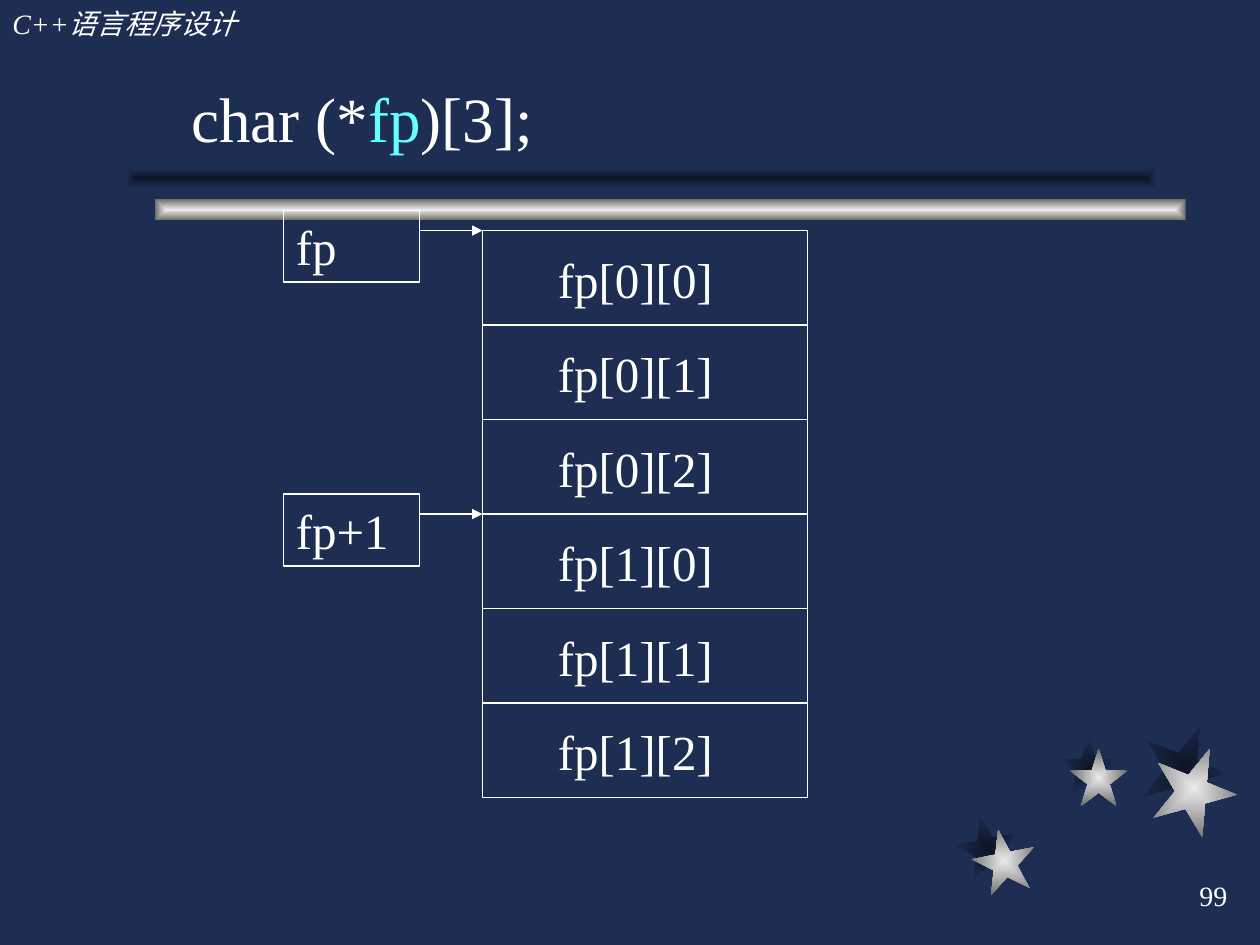
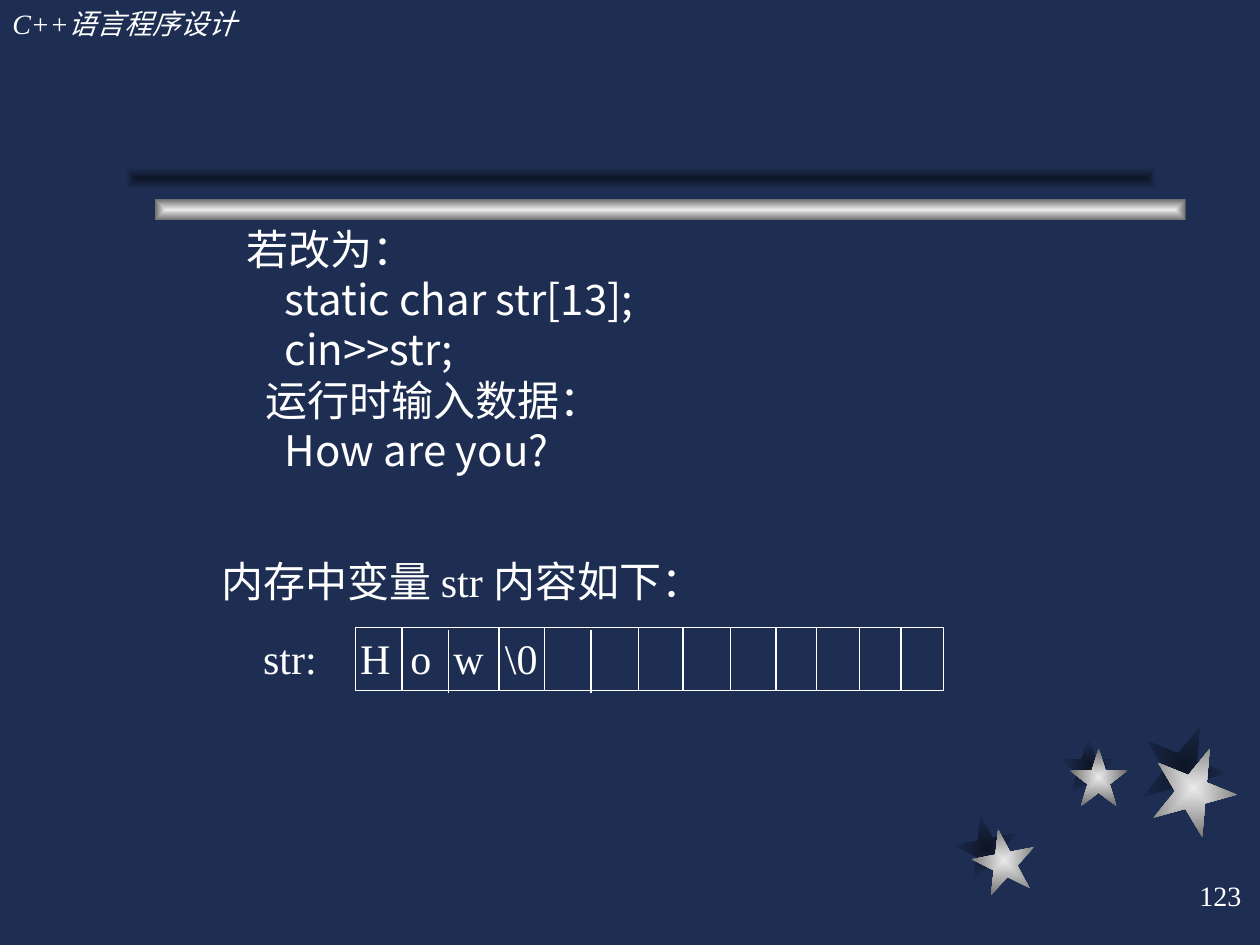
"""Build two C++ lecture slides on array pointers and string storage."""
from lxml.etree import SubElement
from pptx import Presentation
from pptx.dml.color import RGBColor
from pptx.enum.shapes import MSO_CONNECTOR, MSO_SHAPE
from pptx.enum.text import MSO_ANCHOR, MSO_AUTO_SIZE, PP_ALIGN
from pptx.oxml.ns import qn
from pptx.util import Inches, Pt

HUES = {name: RGBColor.from_string(code) for name, code in {
    "back": "1E2E53", "dark": "0E1526", "pale": "EAEAEA",
    "grey": "6C6C6C", "white": "FFFFFF", "cyan": "66FFFF"}.items()}
SERIF, SANS = "Times New Roman", "Noto Sans CJK SC"


def box(page, place, text="", size=28, edge=None):
    """Add a text box, or an outlined rectangle when edge is given."""
    place = [Inches(n) for n in place]
    if edge:
        shape = page.shapes.add_shape(MSO_SHAPE.RECTANGLE, *place)
        shape.shadow.inherit = False
        shape.fill.background()
        shape.line.color.rgb = HUES["white"]
        shape.line.width = Pt(edge)
    else:
        shape = page.shapes.add_textbox(*place)
    frame = shape.text_frame
    frame.word_wrap = True
    frame.vertical_anchor = MSO_ANCHOR.TOP
    frame.text = text
    for para in frame.paragraphs:
        para.alignment = PP_ALIGN.LEFT
        para.font.name = SERIF
        para.font.size = Pt(size)
        para.font.color.rgb = HUES["white"]
    return shape


def rule(page, ends, width, arrow=False):
    """Draw a white straight line, with an arrowhead if asked."""
    line = page.shapes.add_connector(
        MSO_CONNECTOR.STRAIGHT, *[Inches(n) for n in ends])
    line.line.color.rgb = HUES["white"]
    line.line.width = Pt(width)
    props = line.element.spPr
    if arrow:
        SubElement(props.find(qn("a:ln")), qn("a:tailEnd"), type="triangle")
    SubElement(props, qn("a:effectLst"))


deck = Presentation()
deck.slide_width, deck.slide_height = Inches(10), Inches(7.5)
fill = deck.slide_master.background.fill
fill.solid()
fill.fore_color.rgb = HUES["back"]
grid = deck.slides.add_slide(deck.slide_layouts[5])
memo = deck.slides.add_slide(deck.slide_layouts[1])

STAR, BAR = MSO_SHAPE.STAR_5_POINT, MSO_SHAPE.RECTANGLE
SHADE, SHINE = ("dark", "back"), ("pale", "grey")
DECOR = [
    (STAR, SHADE, 7.58, 6.47, 0.5, 0.5, 349),
    (STAR, SHADE, 8.41, 5.85, 0.46, 0.46, 0),
    (STAR, SHADE, 9.06, 5.75, 0.67, 0.67, 22),
    (STAR, SHINE, 7.72, 6.58, 0.5, 0.5, 349),
    (STAR, SHINE, 8.49, 5.94, 0.46, 0.46, 0),
    (STAR, SHINE, 9.14, 5.92, 0.67, 0.67, 22),
    (BAR, SHINE, 1.23, 1.58, 8.18, 0.17, 0),
    (BAR, SHADE, 1, 1.33, 8.18, 0.17, 0),
]
for page, number in (grid, "99"), (memo, "123"):
    for kind, tones, *place, turn in DECOR:
        shape = page.shapes.add_shape(kind, *[Inches(n) for n in place])
        shape.rotation = turn
        shape.shadow.inherit = False
        shape.line.fill.background()
        shape.fill.gradient()
        for stop, tone in zip(shape.fill.gradient_stops, tones):
            stop.color.rgb = HUES[tone]
        grad = shape.element.spPr.find(qn("a:gradFill"))
        grad.remove(grad.find(qn("a:lin")))
        rect = SubElement(grad, qn("a:path"), path="rect")
        SubElement(rect, qn("a:fillToRect"),
                   {side: "50000" for side in "ltrb"})
    head = box(page, (0, 0, 3.08, 0.37), "C++语言程序设计", 16)
    head.text_frame.paragraphs[0].font.italic = True
    box(page, (9.42, 6.92, 0.58, 0.37), number, 16)

title = grid.shapes.title
title.left, title.top = Inches(1.42), Inches(0.58)
title.width, title.height = Inches(4.17), Inches(0.7)
title.text_frame.auto_size = MSO_AUTO_SIZE.NONE
title.text_frame.vertical_anchor = MSO_ANCHOR.TOP
para = title.text_frame.paragraphs[0]
para.alignment = PP_ALIGN.LEFT
para.font.name, para.font.size = SERIF, Pt(36)
for text, tone in ("char (*", "white"), ("fp", "cyan"), (")[3];", "white"):
    run = para.add_run()
    run.text = text
    run.font.color.rgb = HUES[tone]

LEFT, TOP, WIDE, STEP = 3.83, 1.83, 2.58, 0.75
for text, row in ("fp", 0), ("fp+1", 3):
    y = TOP + row * STEP
    box(grid, (2.25, y - 0.16, 1.08, 0.57), text, edge=1)
    rule(grid, (3.33, y, LEFT, y), 1, arrow=True)
box(grid, (LEFT, TOP, WIDE, 6 * STEP), edge=1)
for row in range(6):
    y = TOP + row * STEP
    if row:
        rule(grid, (LEFT, y, LEFT + WIDE, y), 1)
    box(grid, (LEFT + 0.5, y + 0.1, 1.5, 0.57), f"fp[{row // 3}][{row % 3}]")

empty = memo.shapes.title.element
empty.getparent().remove(empty)
body = memo.placeholders[1]
body.left, body.top = Inches(1.86), Inches(1.72)
body.width, body.height = Inches(3.6), Inches(2.1)
frame = body.text_frame
frame.auto_size = MSO_AUTO_SIZE.NONE
frame.vertical_anchor = MSO_ANCHOR.MIDDLE
LINES = [("若改为：", 0), ("static char str[13];", 0.3), ("cin>>str;", 0.3),
         ("运行时输入数据：", 0.15), ("How are you?", 0.3)]
frame.text = "\n".join(text for text, dent in LINES)
for para, (text, dent) in zip(frame.paragraphs, LINES):
    props = para._p.get_or_add_pPr()
    props.set("marL", str(Inches(dent)))
    props.set("indent", "0")
    SubElement(props, qn("a:buNone"))
    para.space_before = Pt(0)
    para.line_spacing = Pt(28.8)
    para.font.name, para.font.size = SANS, Pt(24)
    para.font.color.rgb = HUES["white"]

note = box(memo, (1.66, 4.36, 4.26, 1.11),
           "内存中变量 str 内容如下：\n\tstr:\tH\to\tw\t\\0", 24)
first, last = note.text_frame.paragraphs
first.line_spacing = last.line_spacing = Pt(28.8)
last.space_before = Pt(15)
props = last._p.pPr
tabs = props.makeelement(qn("a:tabLst"))
props.find(qn("a:defRPr")).addprevious(tabs)
for stop in 0.33, 1.1, 1.5, 1.84, 2.25:
    SubElement(tabs, qn("a:tab"), pos=str(Inches(stop)), algn="l")

box(memo, (2.82, 4.98, 4.67, 0.5), edge=0.75)
LOW = (3.56, 4.69)
for x in (3.19, 3.56, 3.96, 4.32, 4.69, 5.07,
          5.42, 5.8, 6.16, 6.48, 6.82, 7.15):
    y = 5 if x in LOW else 4.98
    rule(memo, (x, y, x, y + 0.5), 0.75)

deck.save("out.pptx")
